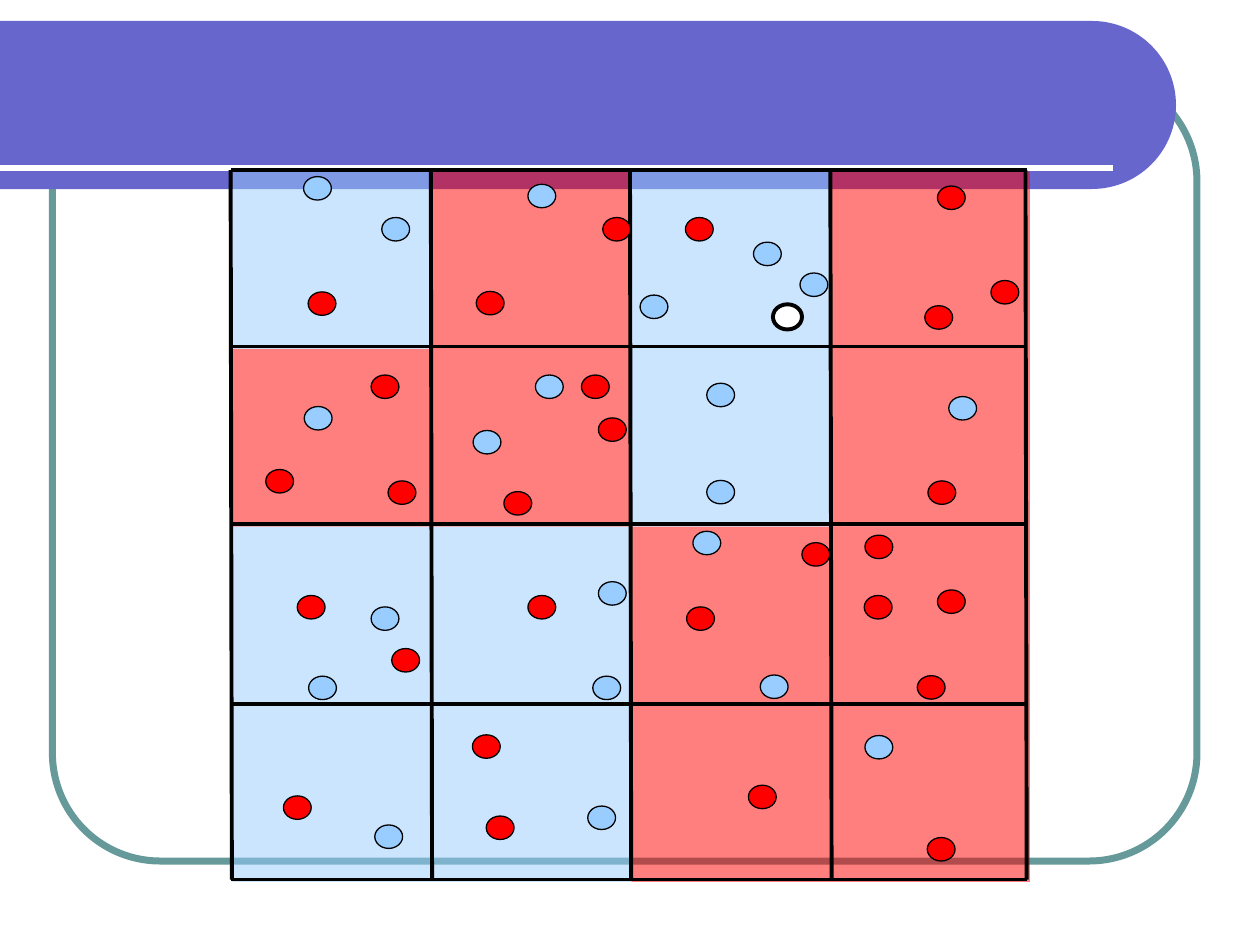
from math import cos, pi, sin

from lxml import etree
from pptx import Presentation
from pptx.dml.color import RGBColor
from pptx.enum.shapes import MSO_CONNECTOR as Connector, MSO_SHAPE as Shape
from pptx.oxml.ns import qn
from pptx.util import Pt

COLORS = {"blue": "99CCFF", "red": "FF0000", "white": "FFFFFF",
          "black": "000000", "banner": "6666CC", "frame": "669999"}

CELLS = [
    ["blue", "red", "blue", "red"],
    ["red", "red", "blue", "red"],
    ["blue", "blue", "red", "red"],
    ["blue", "blue", "red", "red"],
]
# Dot centres in points
DOTS = {
    "blue": [
        (313.9, 221), (181.4, 107.6), (309.6, 112), (438.5, 145.1),
        (465.1, 162.7), (411.8, 225.7), (373.7, 175.3), (411.8, 281.2),
        (226.1, 131), (349.9, 339.1), (550.1, 233.3), (220, 353.5),
        (181.8, 239), (346.7, 393.1), (442.4, 392.4), (222.1, 478.1),
        (184.3, 393.1), (502.2, 427), (278.3, 252.7), (403.9, 310.3),
        (343.8, 467.3),
    ],
    "red": [
        (501.8, 347), (231.8, 377.3), (220, 221), (159.8, 275),
        (399.6, 131), (340.2, 221), (349.9, 245.5), (184, 173.5),
        (466.2, 316.8), (543.6, 113), (502.2, 312.5), (538.2, 281.5),
        (309.6, 347), (435.6, 455.4), (169.9, 461.5), (177.8, 347),
        (229.7, 281.5), (295.9, 287.6), (277.9, 426.6), (400.3, 353.5),
        (285.8, 473), (532.1, 392.8), (543.6, 343.8), (537.8, 485.3),
        (536.4, 181.4), (574.2, 167), (352.4, 131), (280.1, 173.2),
    ],
}
QUERY_DOT = (450, 181.1)

GRID_LEFT, GRID_TOP = 133, 97.9
CELL_WIDTH, CELL_HEIGHT = 113.9, 101.5
COLUMN_LINES = [131.8, 246.2, 360, 474.5, 586]
ROW_LINES = [97.2, 198, 299.5, 402.5, 502.6]
LINE_SLANT = 0.7
BANNER_TOP, BANNER_RADIUS, BANNER_STRAIGHT = 12, 48, 624

presentation = Presentation()
presentation.slide_width, presentation.slide_height = Pt(720), Pt(540)
slide = presentation.slides.add_slide(presentation.slide_layouts[6])


def color(name):
    return RGBColor.from_string(COLORS[name])


def style(shape, fill=None, line=None, line_width=0.75, alpha=None):
    shape.shadow.inherit = False
    if fill:
        shape.fill.solid()
        shape.fill.fore_color.rgb = color(fill)
        if alpha:
            rgb = shape._element.spPr.find(f"{qn('a:solidFill')}/{qn('a:srgbClr')}")
            etree.SubElement(rgb, qn("a:alpha")).set("val", str(alpha * 1000))
    else:
        shape.fill.background()
    if line:
        shape.line.color.rgb = color(line)
        shape.line.width = Pt(line_width)
    else:
        shape.line.fill.background()


def add_shape(kind, left, top, width, height, **look):
    shape = slide.shapes.add_shape(kind, Pt(left), Pt(top), Pt(width), Pt(height))
    style(shape, **look)
    return shape


def add_line(x1, y1, x2, y2, name, width):
    line = slide.shapes.add_connector(Connector.STRAIGHT, Pt(x1), Pt(y1), Pt(x2), Pt(y2))
    line.line.color.rgb = color(name)
    line.line.width = Pt(width)
    etree.SubElement(line._element.spPr, qn("a:effectLst"))


def add_dot(center, fill, width=15.9, height=13.4, line_width=0.75):
    x, y = center
    add_shape(Shape.OVAL, x - width / 2, y - height / 2, width, height,
              fill=fill, line="black", line_width=line_width)


def add_banner():
    steps = 60
    middle = BANNER_TOP + BANNER_RADIUS
    angles = [pi * (step / steps - 0.5) for step in range(steps + 1)]
    outline = [(Pt(BANNER_STRAIGHT + BANNER_RADIUS * cos(angle)),
                Pt(middle + BANNER_RADIUS * sin(angle))) for angle in angles]
    outline.append((0, Pt(middle + BANNER_RADIUS)))
    builder = slide.shapes.build_freeform(0, Pt(BANNER_TOP))
    builder.add_line_segments(outline, close=True)
    style(builder.convert_to_shape(), fill="banner")


# Frame and banner
frame = add_shape(Shape.ROUNDED_RECTANGLE, 30, 42, 654, 450, line="frame", line_width=4)
frame.adjustments[0] = 0.137
add_banner()
add_line(0, 96, 636, 96, "white", 3)

# Cells
for row, names in enumerate(CELLS):
    for column, name in enumerate(names):
        add_shape(Shape.RECTANGLE, GRID_LEFT + column * CELL_WIDTH,
                  GRID_TOP + row * CELL_HEIGHT, CELL_WIDTH, CELL_HEIGHT,
                  fill=name, alpha=50)

# Grid lines
for x in COLUMN_LINES:
    add_line(x, ROW_LINES[0], x + LINE_SLANT, ROW_LINES[-1], "black", 2.25)
for y in ROW_LINES:
    add_line(COLUMN_LINES[0], y, COLUMN_LINES[-1] + LINE_SLANT, y, "black", 2.25)

# Dots
for name, centers in DOTS.items():
    for center in centers:
        add_dot(center, name)
add_dot(QUERY_DOT, "white", 16.6, 14.4, 2.25)

presentation.save("out.pptx")
